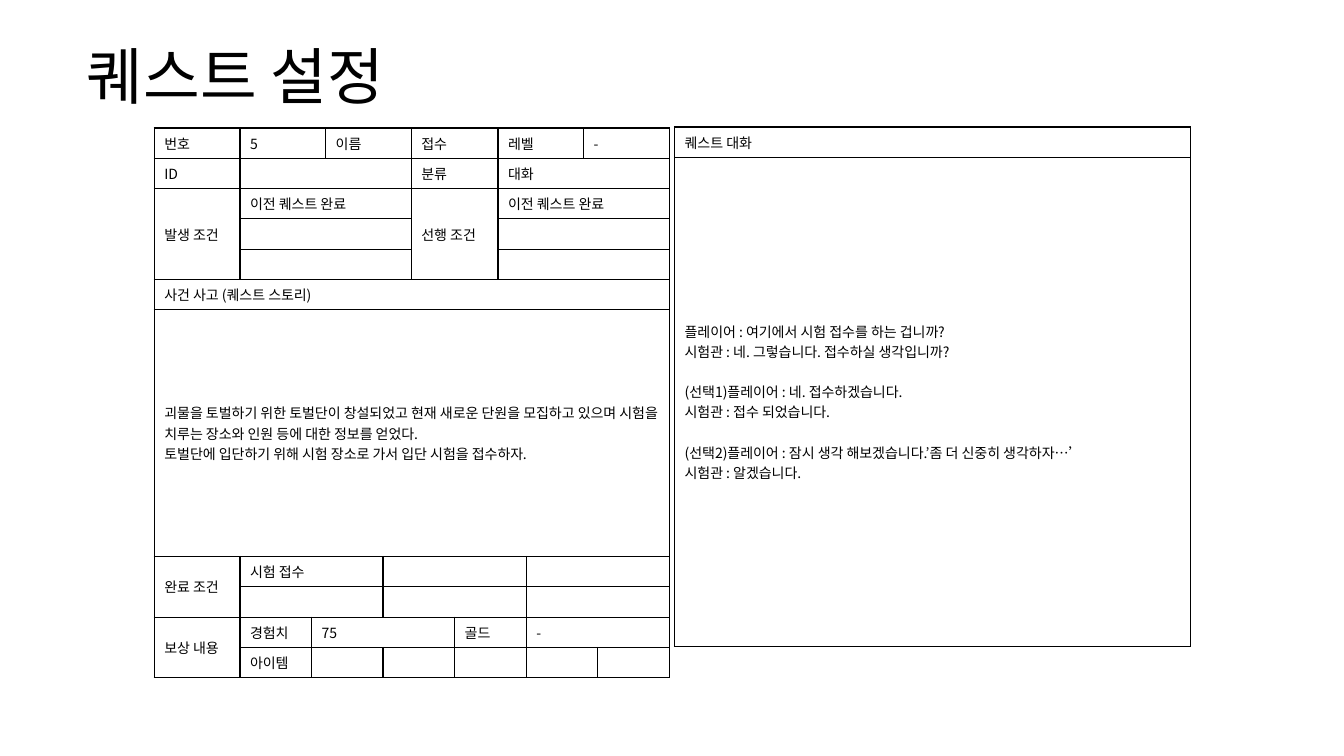
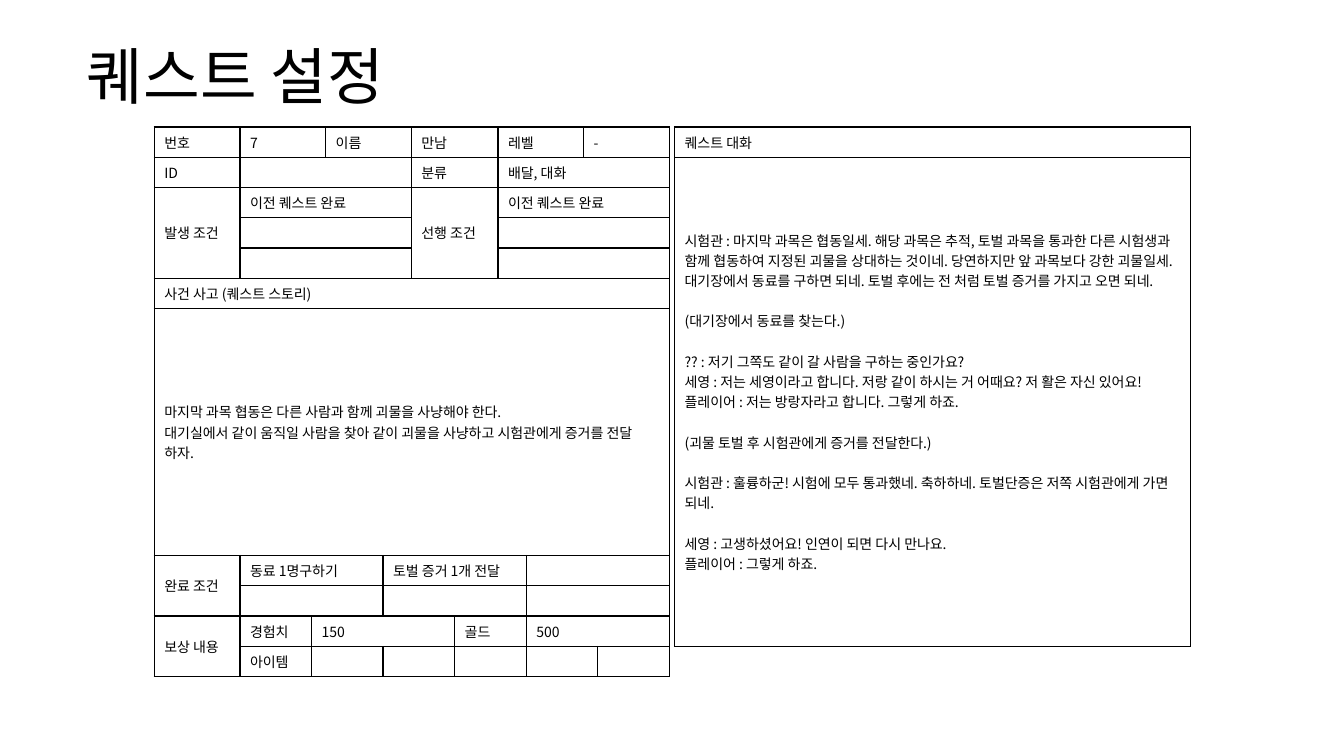
import pptx
import pptx.util
import pptx.dml.color
import pptx.enum.text
import pptx.oxml.ns
import lxml.etree

Inches = pptx.util.Inches
Pt = pptx.util.Pt
qn = pptx.oxml.ns.qn
MIDDLE = pptx.enum.text.MSO_ANCHOR.MIDDLE

THEME = {
    "ink": "000000",
    "font": "Noto Sans CJK KR",
    "title": Pt(44),
    "body": Pt(10),
    "group_gap": Pt(14.5),
    "border": Pt(1),
}
ROW = 0.3
FORM_COLUMNS = [0.85, 0.71, 0.14, 0.57, 0.28, 0.43, 0.43, 0.28, 0.57, 0.14, 0.71]
FORM_ROWS = [ROW] * 6 + [2.45] + [ROW] * 4
DIALOGUE_COLUMNS = [5.12]
DIALOGUE_ROWS = [ROW, 4.85]

FORM_FIELDS = [
    (0, 0, 1, 1, "번호"), (0, 1, 1, 2, "{number}"), (0, 3, 1, 2, "이름"),
    (0, 5, 1, 2, "{name}"), (0, 7, 1, 2, "레벨"), (0, 9, 1, 2, "-"),
    (1, 0, 1, 1, "ID"), (1, 1, 1, 4, ""), (1, 5, 1, 2, "분류"), (1, 7, 1, 4, "{category}"),
    (2, 0, 3, 1, "발생 조건"), (2, 1, 1, 4, "이전 퀘스트 완료"),
    (2, 5, 3, 2, "선행 조건"), (2, 7, 1, 4, "이전 퀘스트 완료"),
    (3, 1, 1, 4, ""), (3, 7, 1, 4, ""), (4, 1, 1, 4, ""), (4, 7, 1, 4, ""),
    (5, 0, 1, 11, "사건 사고 (퀘스트 스토리)"),
    (6, 0, 1, 11, "{story}"),
    (7, 0, 2, 1, "완료 조건"), (7, 1, 1, 3, "{goal}"),
    (7, 4, 1, 4, "{second_goal}"), (7, 8, 1, 3, ""),
    (8, 1, 1, 3, ""), (8, 4, 1, 4, ""), (8, 8, 1, 3, ""),
    (9, 0, 2, 1, "보상 내용"), (9, 1, 1, 1, "경험치"), (9, 2, 1, 4, "{experience}"),
    (9, 6, 1, 2, "골드"), (9, 8, 1, 3, "{gold}"),
    (10, 1, 1, 1, "아이템"),
] + [(10, column, 1, 2, "") for column in (2, 4, 6, 8)]

DIALOGUE_FIELDS = [(0, 0, 1, 1, "퀘스트 대화"), (1, 0, 1, 1, "{dialogue}")]

QUESTS = [
    {
        "form_top": 1.27, "number": "5", "name": "접수", "category": "대화",
        "goal": "시험 접수", "second_goal": "", "experience": "75", "gold": "-",
        "story": "괴물을 토벌하기 위한 토벌단이 창설되었고 현재 새로운 단원을 모집하고 있으며 "
                 "시험을 치루는 장소와 인원 등에 대한 정보를 얻었다.\n"
                 "토벌단에 입단하기 위해 시험 장소로 가서 입단 시험을 접수하자.",
        "dialogue": "플레이어 : 여기에서 시험 접수를 하는 겁니까?\n"
                    "시험관 : 네. 그렇습니다. 접수하실 생각입니까?\n\n"
                    "(선택1)플레이어 : 네. 접수하겠습니다.\n"
                    "시험관 : 접수 되었습니다.\n\n"
                    "(선택2)플레이어 : 잠시 생각 해보겠습니다.’좀 더 신중히 생각하자…’\n"
                    "시험관 : 알겠습니다.",
    },
    {
        "form_top": 1.26, "number": "7", "name": "만남", "category": "배달, 대화",
        "goal": "동료 1명구하기", "second_goal": "토벌 증거 1개 전달",
        "experience": "150", "gold": "500",
        "story": "마지막 과목 협동은 다른 사람과 함께 괴물을 사냥해야 한다.\n"
                 "대기실에서 같이 움직일 사람을 찾아 같이 괴물을 사냥하고 "
                 "시험관에게 증거를 전달 하자.",
        "dialogue": "시험관 : 마지막 과목은 협동일세. 해당 과목은 추적, 토벌 과목을 통과한 다른 "
                    "시험생과 함께 협동하여 지정된 괴물을 상대하는 것이네. 당연하지만 앞 과목보다 "
                    "강한 괴물일세. 대기장에서 동료를 구하면 되네. 토벌 후에는 전 처럼 토벌 증거를 "
                    "가지고 오면 되네.\n\n"
                    "(대기장에서 동료를 찾는다.)\n\n"
                    "?? : 저기 그쪽도 같이 갈 사람을 구하는 중인가요?\n"
                    "세영 : 저는 세영이라고 합니다. 저랑 같이 하시는 거 어때요? 저 활은 자신 있어요!\n"
                    "플레이어 : 저는 방랑자라고 합니다. 그렇게 하죠.\n\n"
                    "(괴물 토벌 후 시험관에게 증거를 전달한다.)\n\n"
                    "시험관 : 훌륭하군! 시험에 모두 통과했네. 축하하네. 토벌단증은 저쪽 시험관에게 "
                    "가면 되네.\n\n"
                    "세영 : 고생하셨어요! 인연이 되면 다시 만나요.\n"
                    "플레이어 : 그렇게 하죠.",
    },
]


def write(frame, text, size):
    paragraph = frame.paragraphs[0]
    if not text:
        paragraph._p.get_or_add_endParaRPr().set("sz", str(int(size.pt * 100)))
        return
    for group_index, group in enumerate(text.split("\n\n")):
        for line_index, line in enumerate(group.split("\n")):
            if group_index or line_index:
                paragraph = frame.add_paragraph()
            if group_index and not line_index:
                paragraph.space_before = THEME["group_gap"]
            run = paragraph.add_run()
            run.text = line
            for attribute, value in {"size": size, "name": THEME["font"], "bold": False}.items():
                setattr(run.font, attribute, value)
            run.font.color.rgb = pptx.dml.color.RGBColor.from_string(THEME["ink"])
            lxml.etree.SubElement(run.font._element, qn("a:ea"), typeface=THEME["font"])


def add_grid(slide, left, top, columns, rows, fields, quest):
    table = slide.shapes.add_table(
        len(rows), len(columns), Inches(left), Inches(top),
        Inches(sum(columns)), Inches(sum(rows))).table
    table.first_row = False
    table.horz_banding = False
    for column, width in zip(table.columns, columns):
        column.width = Inches(width)
    for row, height in zip(table.rows, rows):
        row.height = Inches(height)
    texts = {}
    for row, column, row_span, column_span, text in fields:
        texts[row, column] = text.format(**quest)
        if row_span * column_span > 1:
            table.cell(row, column).merge(
                table.cell(row + row_span - 1, column + column_span - 1))
    for row in range(len(rows)):
        for column in range(len(columns)):
            cell = table.cell(row, column)
            cell.vertical_anchor = MIDDLE
            for side in ("a:lnL", "a:lnR", "a:lnT", "a:lnB"):
                border = lxml.etree.SubElement(
                    cell._tc.get_or_add_tcPr(), qn(side), w=str(THEME["border"]))
                fill = lxml.etree.SubElement(border, qn("a:solidFill"))
                lxml.etree.SubElement(fill, qn("a:srgbClr"), val=THEME["ink"])
            cell.fill.background()
            write(cell.text_frame, texts.get((row, column), ""), THEME["body"])


deck = pptx.Presentation()
deck.slide_width = Inches(13.33)
deck.slide_height = Inches(7.5)
title_only = deck.slide_layouts[5]

for quest in QUESTS:
    slide = deck.slides.add_slide(title_only)
    heading = slide.shapes.title
    for attribute, length in {"left": 0.76, "top": 0.32, "width": 11.81, "height": 0.94}.items():
        setattr(heading, attribute, Inches(length))
    frame = heading.text_frame
    frame.vertical_anchor = MIDDLE
    frame.auto_size = pptx.enum.text.MSO_AUTO_SIZE.NONE
    write(frame, "퀘스트 설정", THEME["title"])
    frame.paragraphs[0].alignment = pptx.enum.text.PP_ALIGN.LEFT
    frame.paragraphs[0].line_spacing = 0.9
    add_grid(slide, 1.53, quest["form_top"], FORM_COLUMNS, FORM_ROWS, FORM_FIELDS, quest)
    add_grid(slide, 6.69, 1.26, DIALOGUE_COLUMNS, DIALOGUE_ROWS, DIALOGUE_FIELDS, quest)

deck.save("out.pptx")
